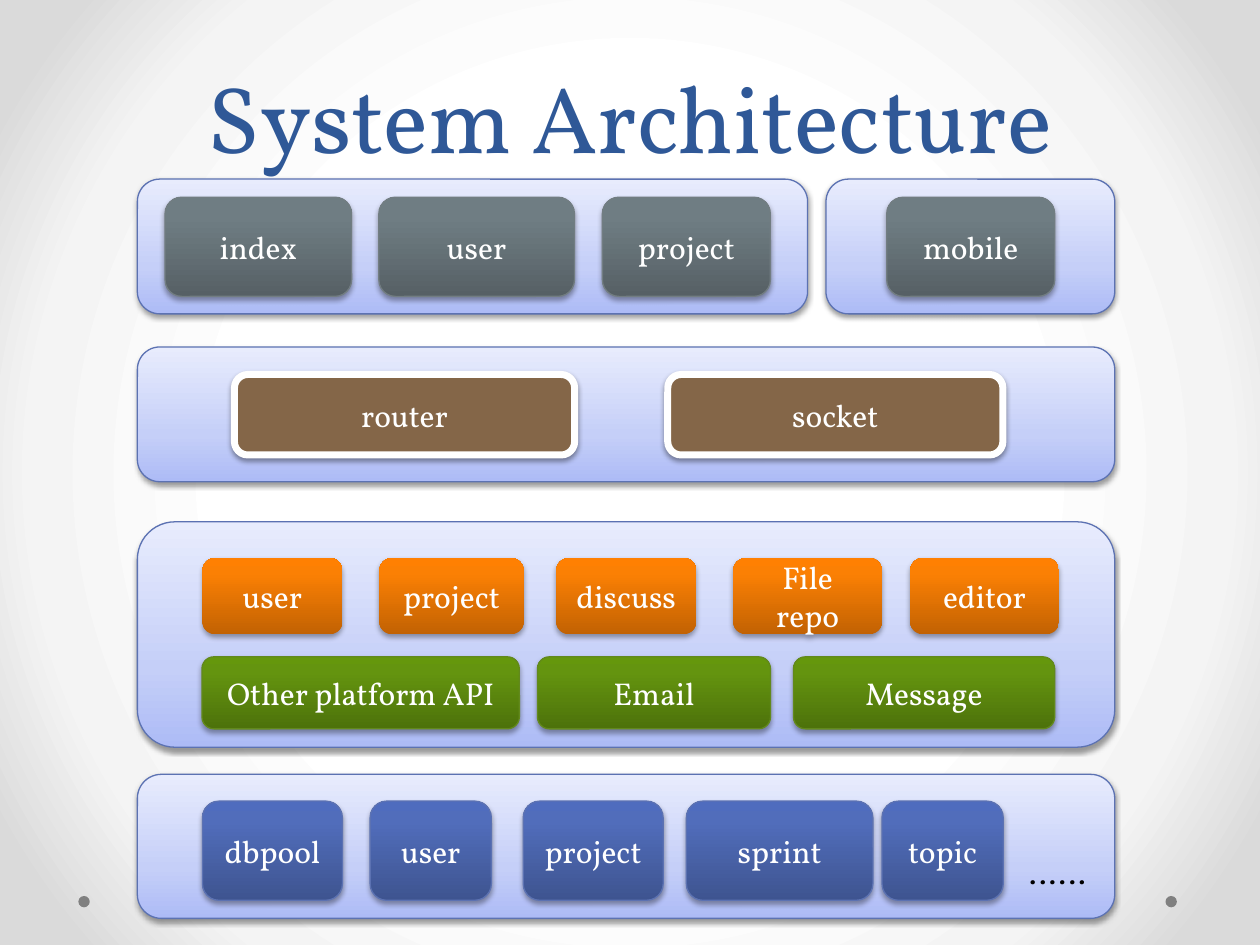
from pptx import Presentation
from pptx.dml.color import RGBColor
from pptx.enum.shapes import MSO_SHAPE
from pptx.enum.text import MSO_ANCHOR, PP_ALIGN
from pptx.oxml import parse_xml
from pptx.oxml.ns import nsdecls, qn
from pptx.util import Pt

ROUND, OVAL = MSO_SHAPE.ROUNDED_RECTANGLE, MSO_SHAPE.OVAL
MIDDLE, BOTTOM = MSO_ANCHOR.MIDDLE, MSO_ANCHOR.BOTTOM
CENTER = PP_ALIGN.CENTER
NS = nsdecls("a")
FONT = "Vollkorn"

deck = Presentation()
deck.slide_width, deck.slide_height = Pt(720), Pt(540)
slide = deck.slides.add_slide(deck.slide_layouts[5])


def paint(fill, host, stops, tail='<a:lin ang="16200000" scaled="0"/>'):
    if isinstance(stops, str):
        fill.solid()
        fill.fore_color.rgb = RGBColor.from_string(stops)
        return
    fill.gradient()
    grad = host.find(qn("a:gradFill"))
    marks = "".join(f'<a:gs pos="{pos * 1000}"><a:srgbClr val="{tint}"/></a:gs>' for pos, tint in stops)
    new = parse_xml(f'<a:gradFill {NS} rotWithShape="1"><a:gsLst>{marks}</a:gsLst>{tail}</a:gradFill>')
    host.replace(grad, new)


def write(frame, text, size, tint):
    part = frame.paragraphs[0]
    part.text = text
    font = part.runs[0].font
    font.name, font.size = FONT, Pt(size)
    font.color.rgb = RGBColor.from_string(tint)
    return part


back = slide.background.fill
back.solid()
paint(back, slide.element.xpath(".//p:bgPr")[0],
      [(50, "FFFFFF"), (76, "F4F4F4"), (92, "DADADA")],
      '<a:path path="circle"><a:fillToRect l="50000" t="50000" r="50000" b="50000"/></a:path>')

for left in (44.8, 666):
    dot = slide.shapes.add_shape(OVAL, Pt(left), Pt(512), Pt(6.5), Pt(6.5))
    dot.shadow.inherit = False
    paint(dot.fill, dot.element.spPr, "808080")
    dot.line.fill.background()

soft, deep = (38, 1.6), (35, 1.8)
styles = {
    "panel": ([(0, "ADBBF6"), (35, "C5CFF8"), (100, "E8ECFD")], "5C72B2", 0.75, soft),
    "gray": ([(0, "566065"), (80, "6F7D83"), (100, "6F7E84")], "727D82", 0.75, deep),
    "brown": ("846648", "FFFFFF", 4, soft),
    "orange": ([(0, "C26203"), (80, "FB8004"), (100, "FF8002")], None, 0, deep),
    "green": ([(0, "4D720B"), (80, "64940F"), (100, "65970C")], "62891C", 0.75, deep),
    "blue": ([(0, "3E5490"), (80, "516DBB"), (100, "4F6CBE")], "5C72B2", 0.75, deep),
}

edge, full = 78.5, 558.5
names = ["user", "project", "discuss", "File repo", "editor"]
sizes = [80, 82.5, 80, 85, 85]
rows = [
    ("panel", 102.4, 77, [("", edge, 383), ("", 472, 165)]),
    ("panel", 198.3, 77, [("", edge, full)]),
    ("panel", 298.2, 128.8, [("", edge, full)]),
    ("panel", 442.5, 82.3, [("", edge, full)]),
    ("gray", 112.7, 56.7, [("index", 94.3, 106.6), ("user", 216.5, 111.8),
                           ("project", 344.2, 96), ("mobile", 506.7, 96)]),
    ("brown", 214, 46, [("router", 134, 194.4), ("socket", 381.6, 191.5)]),
    ("orange", 318.8, 43.7, [(name, 115.7 + 101.1 * i, wide)
                             for i, (name, wide) in enumerate(zip(names, sizes))]),
    ("green", 375.3, 41.2, [("Other platform API", 115.4, 181.4),
                            ("Email", 307.1, 133.2), ("Message", 453.4, 149.3)]),
    ("blue", 457.8, 56.7, [("dbpool", 115.7, 80), ("user", 211.5, 69.3),
                           ("project", 299, 80), ("sprint", 392.2, 106.6),
                           ("topic", 504, 69.3)]),
]

for kind, top, high, boxes in rows:
    stops, rim, thick, (alpha, drop) = styles[kind]
    for text, left, wide in boxes:
        box = slide.shapes.add_shape(ROUND, Pt(left), Pt(top), Pt(wide), Pt(high))
        paint(box.fill, box.element.spPr, stops)
        if rim:
            box.line.color.rgb = RGBColor.from_string(rim)
            box.line.width = Pt(thick)
        else:
            box.line.fill.background()
        box.shadow.inherit = False
        box.element.spPr.find(qn("a:effectLst")).append(parse_xml(
            f'<a:outerShdw {NS} blurRad="{Pt(3.1)}" dist="{Pt(drop)}" dir="5400000" rotWithShape="0">'
            f'<a:srgbClr val="000000"><a:alpha val="{alpha * 1000}"/></a:srgbClr></a:outerShdw>'))
        if text:
            box.text_frame.vertical_anchor = MIDDLE
            write(box.text_frame, text, 18, "FFFFFF").alignment = CENTER

more = slide.shapes.add_textbox(Pt(581), Pt(483.8), Pt(47.5), Pt(26.6))
more.text_frame.word_wrap = False
write(more.text_frame, "……", 18, "000000")

title = slide.shapes.title
title.left, title.top, title.width, title.height = Pt(36), Pt(0), Pt(648), Pt(102.4)
title.text_frame.vertical_anchor = BOTTOM
head = write(title.text_frame, "System Architecture", 54, "2F5897")
head.alignment, head.line_spacing = CENTER, Pt(58)
more.element.addnext(title.element)

deck.save("out.pptx")
